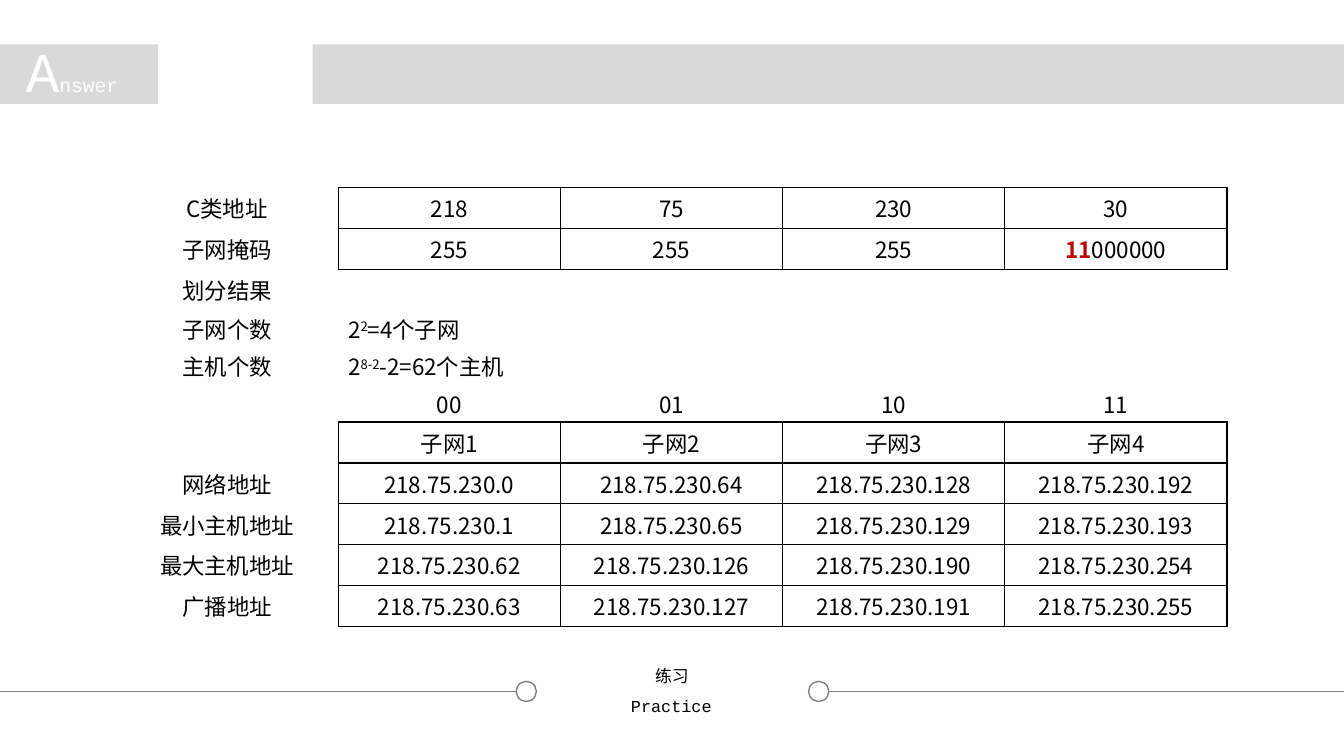
from lxml import etree
from pptx import Presentation
from pptx import util as u
from pptx.dml.color import RGBColor
from pptx.enum import shapes, text
from pptx.oxml import ns

BLACK = RGBColor(0, 0, 0)
WHITE = RGBColor(255, 255, 255)
RED = RGBColor(0xC0, 0, 0)
GREY = RGBColor(0x80, 0x80, 0x80)
PALE = RGBColor(0xD9, 0xD9, 0xD9)
SANS, MONO = "Noto Sans CJK SC", "Courier New"
WIDE, HIGH = 133.3, 75  # grid columns and rows on the slide

BODY = {"size": u.Pt(16), "name": SANS, "bold": False}
UPPER = {"base": 30000}
LABELS = ["网络地址", "最小主机地址", "最大主机地址", "广播地址"]
FIRST = [0, 1, 62, 63]  # last byte of each address in subnet 1
BLOCK = 64
BOXED = {0, 1, 6, 7, 8, 9, 10}  # table rows with a frame
MERGED = {3, 4}
TALL, LOW = 4.06, 3.7  # row heights


def grid(*units):
    return [u.Inches(n / 10) for n in units]


def write(para, parts, style, color):
    """Add runs; each part is a string or (string, changes)."""
    for part in parts:
        words, extra = (part, {}) if isinstance(part, str) else part
        form = {**style, **extra}
        base = form.pop("base", None)
        hue = form.pop("hue", color)
        run = para.add_run()
        run.text = words
        run.font.color.rgb = hue
        for key, val in form.items():
            setattr(run.font, key, val)
        props = run.font._element
        etree.SubElement(props, ns.qn("a:ea")).set("typeface", form["name"])
        if base:
            props.set("baseline", str(base))


def label(slide, box, parts, style, color, align=None):
    frame = slide.shapes.add_textbox(*grid(*box)).text_frame
    frame.word_wrap = False
    frame.auto_size = text.MSO_AUTO_SIZE.SHAPE_TO_FIT_TEXT
    frame.paragraphs[0].alignment = align
    write(frame.paragraphs[0], parts, style, color)


def bar(slide, left, width):
    kind = shapes.MSO_SHAPE.RECTANGLE
    item = slide.shapes.add_shape(kind, *grid(left, 4.4, width, 5.9))
    item.shadow.inherit = False
    item.fill.solid()
    item.fill.fore_color.rgb = PALE
    item.line.fill.background()


def ring(slide, left):
    kind = shapes.MSO_SHAPE.OVAL
    item = slide.shapes.add_shape(kind, *grid(left, 67.6, 2, 2))
    item.shadow.inherit = False
    item.fill.background()
    item.line.color.rgb = GREY
    item.line.width = u.Pt(1)


def rule(slide, start, end):
    kind = shapes.MSO_CONNECTOR.STRAIGHT
    item = slide.shapes.add_connector(kind, *grid(start, 68.6, end, 68.6))
    item.line.color.rgb = GREY
    item.line.width = u.Pt(0.5)
    etree.SubElement(item._element.spPr, ns.qn("a:effectLst"))


def edges(cell, row, col):
    """Draw each side that touches a framed cell."""
    def framed(r, c):
        return r in BOXED and 1 <= c <= 4

    props = cell._tc.get_or_add_tcPr()
    sides = {"L": (0, -1), "R": (0, 1), "T": (-1, 0), "B": (1, 0)}
    for spot, (side, (down, over)) in enumerate(sides.items()):
        line = etree.Element(ns.qn("a:ln" + side), w=str(u.Pt(1)))
        if framed(row, col) or framed(row + down, col + over):
            fill = etree.SubElement(line, ns.qn("a:solidFill"))
            etree.SubElement(fill, ns.qn("a:srgbClr"), val=str(BLACK))
        else:
            etree.SubElement(line, ns.qn("a:noFill"))
        props.insert(spot, line)


def rows():
    """List the cells of the table as lists of text parts."""
    mask = [("11", {"bold": True, "hue": RED}), "000000"]
    data = [
        [["C类地址"], ["218"], ["75"], ["230"], ["30"]],
        [["子网掩码"], ["255"], ["255"], ["255"], mask],
        [["划分结果"]],
        [["子网个数"], ["2", ("2", UPPER), "=4个子网"]],
        [["主机个数"], ["2", ("8-2", UPPER), "-2=62个主机"]],
        [[""]] + [[f"{n:02b}"] for n in range(4)],
        [[""]] + [[f"子网{n + 1}"] for n in range(4)],
    ]
    for name, byte in zip(LABELS, FIRST):
        data.append([[name]] + [[f"218.75.230.{byte + BLOCK * n}"]
                                for n in range(4)])
    return [line + [[""]] * (5 - len(line)) for line in data]


def table(slide):
    data = rows()
    sizes = [LOW if r in (3, 4, 5) else TALL for r in range(len(data))]
    box = grid(11.5, 18.6, 110.2, sum(sizes))
    grille = slide.shapes.add_table(len(data), 5, *box).table
    for key in ("first_row", "horz_banding"):
        setattr(grille, key, False)
    for col in grille.columns:
        col.width = grid(22.04)[0]
    for r, line in enumerate(data):
        grille.rows[r].height = grid(sizes[r])[0]
        if r in MERGED:
            grille.cell(r, 1).merge(grille.cell(r, 4))
        for c, parts in enumerate(line):
            cell = grille.cell(r, c)
            form = {"margin_top": u.Inches(0.02),
                    "margin_bottom": u.Inches(0.02),
                    "vertical_anchor": text.MSO_ANCHOR.MIDDLE}
            for key, val in form.items():
                setattr(cell, key, val)
            cell.fill.background()
            edges(cell, r, c)
            if cell.is_spanned:
                continue
            para = cell.text_frame.paragraphs[0]
            if not cell.is_merge_origin:
                para.alignment = text.PP_ALIGN.CENTER
            write(para, parts, BODY, BLACK)


def main():
    deck = Presentation()
    deck.slide_width, deck.slide_height = grid(WIDE, HIGH)
    slide = deck.slides.add_slide(deck.slide_layouts[6])

    # Footer
    for left, start, end in [(80.2, 82.2, WIDE), (51.2, 51.2, 0)]:
        ring(slide, left)
        rule(slide, start, end)
    small = {"size": u.Pt(12)}
    label(slide, (64, 65.6, 5.4, 3), ["练习"], {**small, "name": SANS}, BLACK)
    label(slide, (61.6, 68.5, 10.2, 3), ["Practice"],
          {**small, "name": MONO}, BLACK)

    # Header
    bar(slide, 31, WIDE - 31)
    bar(slide, 0, 15.7)

    # Subnet plan
    table(slide)

    # Title
    label(slide, (1.5, 3.1, 11.3, 7.7), ["A", ("nswer", {"size": u.Pt(14)})],
          {"size": u.Pt(40), "name": MONO}, WHITE, text.PP_ALIGN.CENTER)

    deck.save("out.pptx")


if __name__ == "__main__":
    main()
